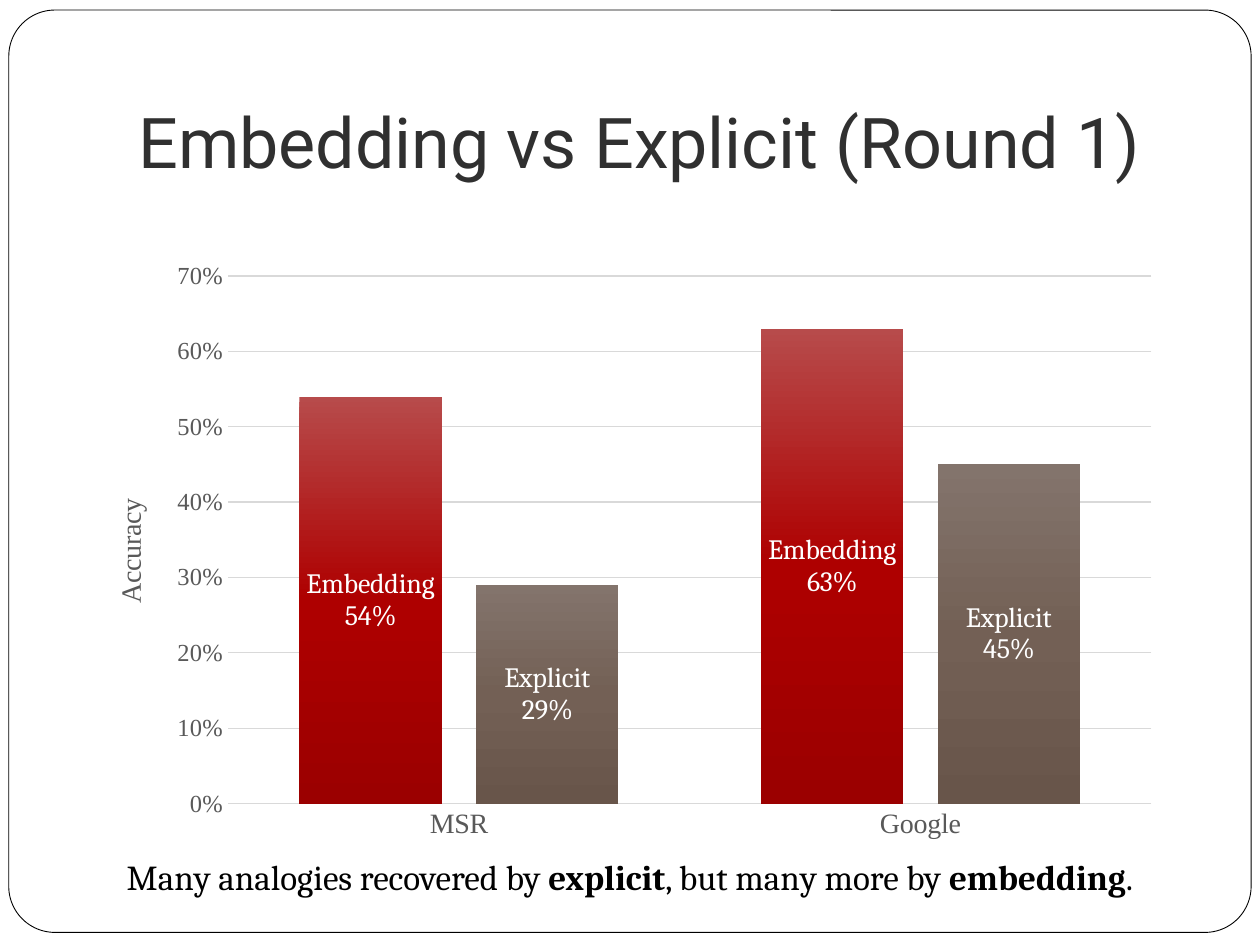
from dataclasses import dataclass

from lxml import etree
from pptx import Presentation
from pptx.chart.data import CategoryChartData
from pptx.dml.color import RGBColor
from pptx.enum.chart import XL_CHART_TYPE, XL_LABEL_POSITION, XL_TICK_MARK
from pptx.enum.shapes import MSO_SHAPE
from pptx.enum.text import MSO_ANCHOR, PP_ALIGN
from pptx.oxml import parse_xml
from pptx.oxml.ns import nsdecls, qn
from pptx.util import Inches, Pt

COLUMNS = XL_CHART_TYPE.COLUMN_CLUSTERED
LABEL_CENTER = XL_LABEL_POSITION.CENTER
NO_TICK = XL_TICK_MARK.NONE
ROUNDED = MSO_SHAPE.ROUNDED_RECTANGLE
BOTTOM = MSO_ANCHOR.BOTTOM
LEFT, CENTER = PP_ALIGN.LEFT, PP_ALIGN.CENTER


@dataclass(frozen=True)
class Theme:
    title_font: str = "Roboto"
    body_font: str = "Cambria"
    axis_font: str = "Times New Roman"
    title_size: int = 40
    body_size: int = 20
    label_size: int = 16
    tick_size: int = 14
    title: str = "303030"
    ink: str = "000000"
    paper: str = "FFFFFF"
    axis: str = "595959"
    grid: str = "D9D9D9"
    # Top, middle and bottom colour of each column series
    gradients: tuple = (("B74B4B", "AE0000", "9B0000"),
                        ("83746C", "736055", "68554A"))


THEME = Theme()
CATEGORIES = ("MSR", "Google")
ACCURACY = {"Embedding": (0.54, 0.63), "Explicit": (0.29, 0.45)}


def rgb(value):
    return RGBColor.from_string(value)


def style_font(font, name, size, color, bold=False):
    font.name = name
    font.size = Pt(size)
    font.color.rgb = rgb(color)
    font.bold = bold


def add_frame(page):
    frame = page.shapes.add_shape(
        ROUNDED, Inches(0.07), Inches(0.08), Inches(9.86), Inches(7.32))
    frame.adjustments[0] = 0.05
    frame.shadow.inherit = False
    frame.fill.solid()
    frame.fill.fore_color.rgb = rgb(THEME.paper)
    frame.line.color.rgb = rgb(THEME.ink)
    frame.line.width = Pt(0.5)
    # Send the frame behind the title
    page.shapes._spTree.insert(2, frame._element)


def set_title(page, text):
    title = page.shapes.title
    title.left, title.top = Inches(1), Inches(0.3)
    title.width, title.height = Inches(8.5), Inches(1.25)
    frame = title.text_frame
    frame.vertical_anchor = BOTTOM
    frame.margin_bottom = Inches(0.1)
    para = frame.paragraphs[0]
    para.alignment = LEFT
    span = para.add_run()
    span.text = text
    style_font(span.font, THEME.title_font, THEME.title_size, THEME.title)


def fill_gradient(series, colors):
    stops = "".join(
        f'<a:gs pos="{index * 50000}"><a:srgbClr val="{color}"/></a:gs>'
        for index, color in enumerate(colors))
    series.format.fill.solid()
    solid = series.format._element if hasattr(series.format, "_element") else series._element
    solid = solid.find(f".//{qn('c:spPr')}/{qn('a:solidFill')}")
    gradient = parse_xml(
        f'<a:gradFill {nsdecls("a")} rotWithShape="1"><a:gsLst>{stops}</a:gsLst>'
        '<a:lin ang="5400000" scaled="0"/></a:gradFill>')
    solid.getparent().replace(solid, gradient)


def label_series(series):
    labels = series.data_labels
    labels.show_value = labels.show_series_name = True
    labels.number_format, labels.number_format_is_linked = "0%", False
    labels.position = LABEL_CENTER
    style_font(labels.font, THEME.body_font, THEME.label_size, THEME.paper)
    # Series name and value on separate lines
    separator = etree.Element(qn("c:separator"))
    separator.text = "\n"
    labels._element.find(qn("c:showBubbleSize")).addnext(separator)


def place_plot(chart, left, top, width, height):
    """Fix the inner plot area, in fractions of the chart."""
    area = chart._chartSpace.chart.plotArea
    for layout in area.findall(qn("c:layout")):
        area.remove(layout)
    sizes = "".join(f'<c:{tag} val="{value}"/>' for tag, value in
                    zip("xywh", (left, top, width, height)))
    area.insert(0, parse_xml(
        f'<c:layout {nsdecls("c")}><c:manualLayout><c:layoutTarget val="inner"/>'
        f'<c:xMode val="edge"/><c:yMode val="edge"/>{sizes}'
        '</c:manualLayout></c:layout>'))


def style_axes(chart):
    categories, values = chart.category_axis, chart.value_axis
    for axis, size in ((categories, THEME.label_size), (values, THEME.tick_size)):
        axis.major_tick_mark = axis.minor_tick_mark = NO_TICK
        style_font(axis.tick_labels.font, THEME.axis_font, size, THEME.axis)
    categories.format.line.color.rgb = rgb(THEME.grid)
    categories.format.line.width = Pt(1)

    values.minimum_scale, values.maximum_scale = 0, 0.7
    values.major_unit = 0.1
    values.tick_labels.number_format = "0%"
    values.tick_labels.number_format_is_linked = False
    values.format.line.fill.background()
    grid = values.major_gridlines.format.line
    grid.color.rgb = rgb(THEME.grid)
    grid.width = Pt(0.75)
    span = values.axis_title.text_frame.paragraphs[0].add_run()
    span.text = "Accuracy"
    style_font(span.font, THEME.axis_font, THEME.label_size, THEME.axis)


def add_accuracy_chart(page):
    data = CategoryChartData(number_format="0%")
    data.categories = CATEGORIES
    for name, values in ACCURACY.items():
        data.add_series(name, values)
    chart = page.shapes.add_chart(
        COLUMNS, Inches(0.69), Inches(2), Inches(8.62), Inches(4.76), data).chart
    chart.has_legend = chart.has_title = False
    style_font(chart.font, THEME.axis_font, 10, THEME.ink)
    plot = chart.plots[0]
    plot.gap_width, plot.overlap = 100, -24
    plot.vary_by_categories = False
    for series, colors in zip(plot.series, THEME.gradients):
        fill_gradient(series, colors)
        label_series(series)
    style_axes(chart)
    place_plot(chart, 0.13, 0.04, 0.85, 0.88)


def add_conclusion(page, spans):
    box = page.shapes.add_textbox(0, Inches(6.74), Inches(10), Inches(0.44))
    box.text_frame.word_wrap = True
    para = box.text_frame.paragraphs[0]
    para.alignment = CENTER
    for text, bold in spans:
        span = para.add_run()
        span.text = text
        style_font(span.font, THEME.body_font, THEME.body_size, THEME.ink, bold)


def main():
    deck = Presentation()
    deck.slide_width, deck.slide_height = Inches(10), Inches(7.5)
    page = deck.slides.add_slide(deck.slide_layouts[5])
    add_frame(page)
    set_title(page, "Embedding vs Explicit (Round 1)")
    add_accuracy_chart(page)
    add_conclusion(page, (
        ("Many analogies recovered by ", False), ("explicit", True),
        (", but many more by ", False), ("embedding", True), (".", False)))
    deck.save("out.pptx")


if __name__ == "__main__":
    main()
